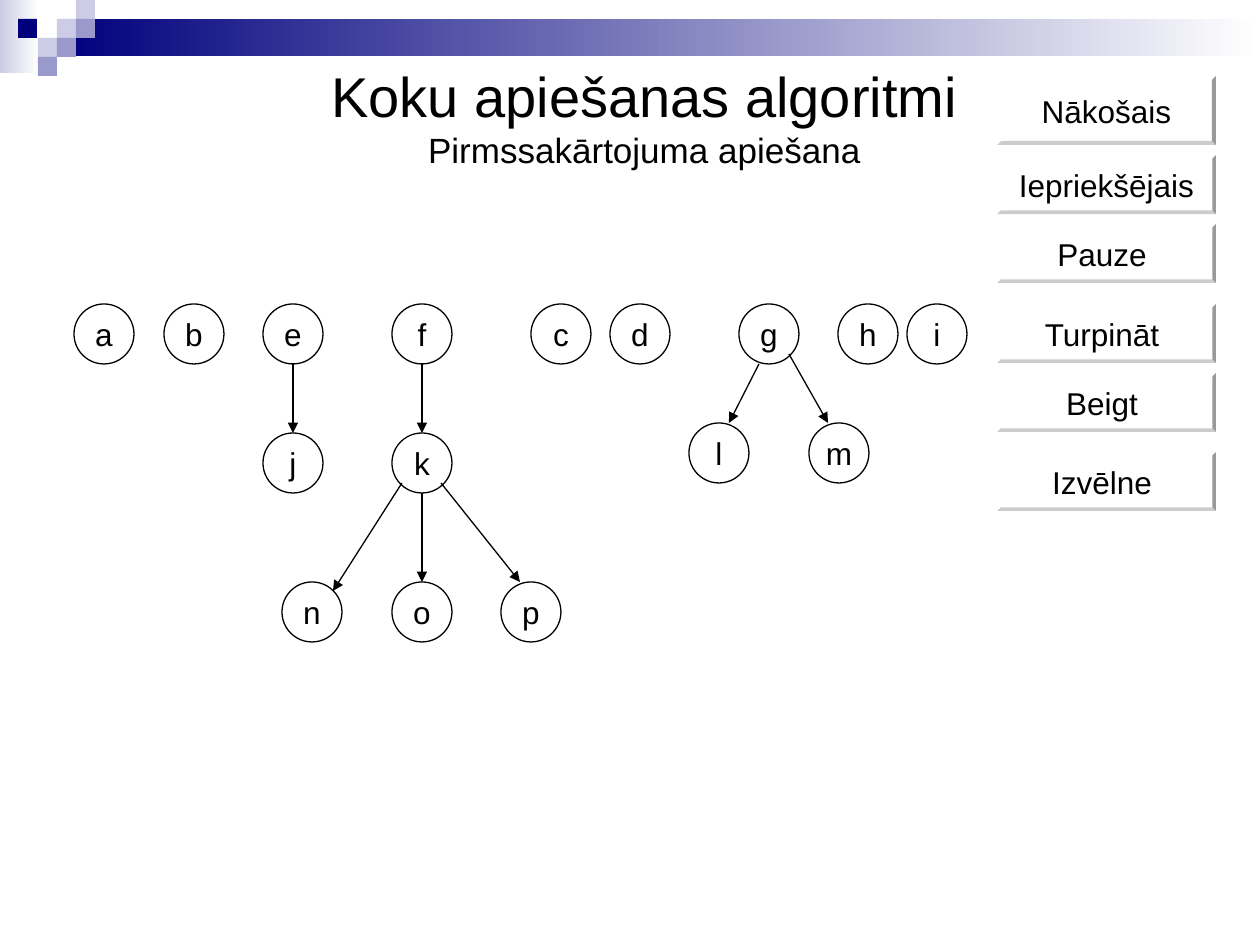
from lxml.etree import SubElement
from pptx import Presentation
from pptx.dml.color import RGBColor
from pptx.enum.shapes import MSO_CONNECTOR, MSO_SHAPE
from pptx.enum.text import MSO_ANCHOR, PP_ALIGN
from pptx.oxml.ns import qn
from pptx.util import Inches, Pt

SCALE = Inches(1) // 126
NODE = 60
TILE = 19

TILES = [(57, 19, "CCCCE6"), (76, 0, "CCCCE6"), (76, 19, "9999CC"),
         (38, 38, "CCCCE6"), (18, 19, "00007D"), (57, 38, "9999CC"),
         (38, 57, "9999CC")]
BUTTONS = [("Nākošais", 76, 69), ("Iepriekšējais", 155, 59),
           ("Pauze ", 224, 59), ("Turpināt ", 304, 59),
           ("Beigt ", 373, 59), ("Izvēlne ", 452, 59)]
ROWS = [
    (304, {"a": 74, "b": 164, "e": 263, "f": 392, "c": 531, "d": 610,
           "g": 739, "h": 838, "i": 907}),
    (433, {"j": 263, "k": 392}),
    (423, {"l": 689, "m": 809}),
    (582, {"n": 282, "o": 392, "p": 501}),
]
ARROWS = [(293, 363, 293, 433), (422, 363, 422, 433), (759, 364, 729, 423),
          (789, 354, 828, 423), (402, 483, 333, 591), (422, 493, 422, 582),
          (441, 483, 520, 582)]


def px(*nums):
    return [num * SCALE for num in nums]


def color(code):
    return RGBColor.from_string(code)


def style(font, size):
    font.name = "Arial"
    font.size = Pt(size)
    font.color.rgb = color("000000")


def add_form(slide, kind, box, fill):
    form = slide.shapes.add_shape(kind, *px(*box))
    form.shadow.inherit = False
    form.fill.solid()
    form.fill.fore_color.rgb = color(fill)
    form.line.fill.background()
    return form


def add_fade(slide, box, start):
    """Add a bar that fades to white at its right end."""
    fill = add_form(slide, MSO_SHAPE.RECTANGLE, box, start).fill
    fill.gradient()
    fill.gradient_angle = 0
    for stop, code in zip(fill.gradient_stops, (start, "FFFFFF")):
        stop.color.rgb = color(code)


def add_label(form, text):
    frame = form.text_frame
    frame.word_wrap = False
    frame.vertical_anchor = MSO_ANCHOR.MIDDLE
    para = frame.paragraphs[0]
    para.text = text
    para.alignment = PP_ALIGN.CENTER
    style(para.font, 18)


def add_title(slide):
    frame = slide.shapes.add_textbox(*px(223, 55, 843, 122)).text_frame
    frame.word_wrap = True
    frame.vertical_anchor = MSO_ANCHOR.BOTTOM
    para = frame.paragraphs[0]
    para.alignment = PP_ALIGN.CENTER
    for text, size in (("Koku apiešanas algoritmi ", 32),
                       ("Pirmssakārtojuma apiešana", 20)):
        run = para.add_run()
        run.text = text
        style(run.font, size)


def add_button(slide, text, top, height):
    form = add_form(slide, MSO_SHAPE.BEVEL, (997, top, 219, height), "FFFFFF")
    form.adjustments[0] = 0.06
    add_label(form, text)


def add_node(slide, text, left, top):
    form = add_form(slide, MSO_SHAPE.OVAL, (left, top, NODE, NODE), "FFFFFF")
    form.line.color.rgb = color("000000")
    form.line.width = Pt(0.75)
    add_label(form, text)


def add_arrow(slide, ends):
    arrow = slide.shapes.add_connector(MSO_CONNECTOR.STRAIGHT, *px(*ends))
    arrow.line.color.rgb = color("000000")
    arrow.line.width = Pt(0.75)
    SubElement(arrow.line._get_or_add_ln(), qn("a:tailEnd"), type="triangle")
    SubElement(arrow._element.spPr, qn("a:effectLst"))


def main():
    deck = Presentation()
    deck.slide_width, deck.slide_height = px(1260, 945)
    slide = deck.slides.add_slide(deck.slide_layouts[6])
    add_fade(slide, (0, 0, 39, 73), "CCCCE6")
    add_fade(slide, (57, 19, 1203, 37), "00007D")
    for left, top, fill in TILES:
        add_form(slide, MSO_SHAPE.RECTANGLE, (left, top, TILE, TILE), fill)
    add_title(slide)
    for button in BUTTONS:
        add_button(slide, *button)
    for top, nodes in ROWS:
        for text, left in nodes.items():
            add_node(slide, text, left, top)
    for ends in ARROWS:
        add_arrow(slide, ends)
    deck.save("out.pptx")


if __name__ == "__main__":
    main()
